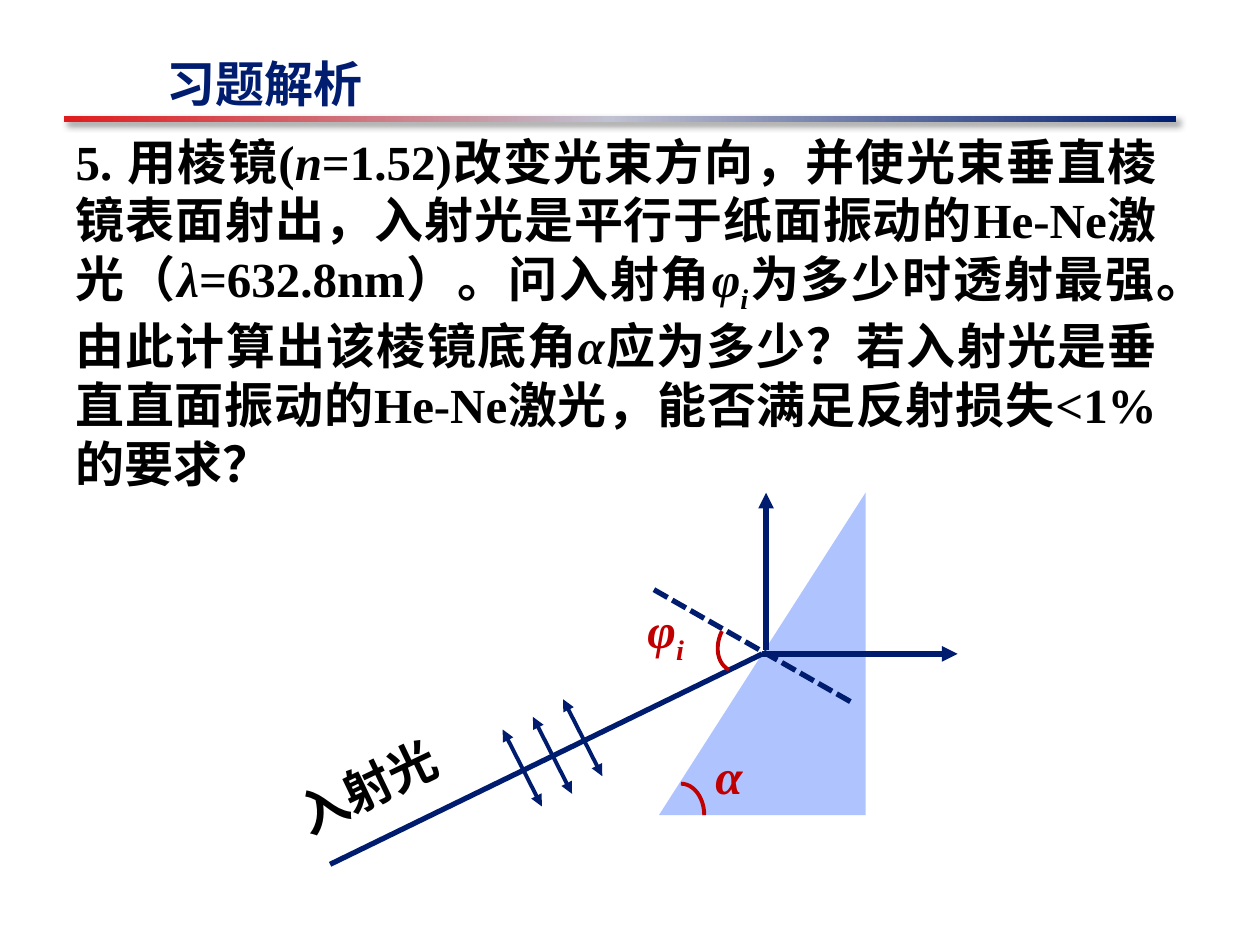
"""Build the exercise slide on a prism set at the Brewster angle."""
from copy import deepcopy
from dataclasses import dataclass

from pptx import Presentation
from pptx.dml.color import RGBColor
from pptx.enum import dml, shapes, text
from pptx.oxml import ns, xmlchemy
from pptx.util import Inches, Pt


@dataclass
class Theme:
    navy: RGBColor = RGBColor(0x00, 0x1D, 0x70)
    ray: RGBColor = RGBColor(0x00, 0x1C, 0x6E)
    ink: RGBColor = RGBColor(0, 0, 0)
    red: RGBColor = RGBColor(0xC0, 0, 0)
    glass: RGBColor = RGBColor(0xAF, 0xC4, 0xFF)
    bar: tuple = ((0, "E01C1E"), (0.49, "C0C1D1"), (1, "001D70"))
    size: int = 28
    latin: str = "Times New Roman"
    chinese: str = "Noto Sans CJK SC"


theme = Theme()


def add_element(parent, tag, **attributes):
    element = xmlchemy.OxmlElement(tag)
    for name, value in attributes.items():
        element.set(name, value)
    parent.append(element)
    return element


def write(box, pieces, color, latin=theme.latin):
    frame = box.text_frame
    frame.word_wrap = True
    frame.auto_size = text.MSO_AUTO_SIZE.NONE
    para = frame.paragraphs[0]
    para.space_before = Pt(0)
    para.font.size = Pt(theme.size)
    para.font.name = latin
    para.font.bold = True
    para.font.color.rgb = color
    for words, style in pieces:
        span = para.add_run()
        span.text = words
        span.font.size = Pt(theme.size)
        span.font.name = latin
        span.font.bold = True
        span.font.italic = style != "plain"
        span.font.color.rgb = color
        properties = span.font._element
        add_element(properties, "a:ea", typeface=theme.chinese)
        if style == "sub":
            properties.set("baseline", "-25000")
    return para


deck = Presentation()
deck.slide_width, deck.slide_height = Inches(10), Inches(7.5)
page = deck.slides.add_slide(deck.slide_layouts[1])

title = page.shapes.title
title.left, title.top, title.width, title.height = map(Inches, (1.22, 0.36, 7.73, 0.59))
title.text_frame.vertical_anchor = text.MSO_ANCHOR.MIDDLE
write(title, [("习题解析", "plain")], theme.navy).alignment = text.PP_ALIGN.LEFT

bar = page.shapes.add_shape(
    shapes.MSO_SHAPE.RECTANGLE, *map(Inches, (0.51, 0.92, 8.82, 0.05)))
bar.line.fill.background()
bar.fill.gradient()
bar.fill.gradient_angle = 0
stops = bar._element.spPr.find(".//" + ns.qn("a:gsLst"))
stops.append(deepcopy(stops[0]))
for stop, (position, color) in zip(bar.fill.gradient_stops, theme.bar):
    stop.position = position
    stop.color.rgb = RGBColor.from_string(color)
bar.shadow.inherit = False
shadow = add_element(
    bar._element.spPr.find(ns.qn("a:effectLst")), "a:outerShdw",
    blurRad=str(Pt(4)), dist=str(Pt(3)), dir="2700000", algn="tl", rotWithShape="0")
add_element(add_element(shadow, "a:srgbClr", val="000000"), "a:alpha", val="40000")

question = page.placeholders[1]
question.left, question.top, question.width, question.height = map(
    Inches, (0.5, 0.99, 8.78, 3.07))
para = question.text_frame.paragraphs[0]
para.alignment = text.PP_ALIGN.JUSTIFY
properties = para._p.get_or_add_pPr()
properties.set("marL", "0")
properties.set("indent", "0")
add_element(properties, "a:buNone")
write(question, [
    ("5. 用棱镜(", "plain"), ("n", "italic"),
    ("=1.52)改变光束方向，并使光束垂直棱镜表面射出，入射光是平行于纸面振动的He-Ne激光（", "plain"),
    ("λ", "italic"), ("=632.8nm）。问入射角", "plain"),
    ("φ", "italic"), ("i", "sub"),
    ("为多少时透射最强。由此计算出该棱镜底角", "plain"), ("α", "italic"),
    ("应为多少？若入射光是垂直直面振动的He-Ne激光，能否满足反射损失<1%的要求？", "plain"),
], theme.ink)

diagram = page.shapes.add_group_shape()

prism = diagram.shapes.add_shape(
    shapes.MSO_SHAPE.ISOSCELES_TRIANGLE, *map(Inches, (5.23, 3.91, 1.64, 2.56)))
prism.adjustments[0] = 1
prism.fill.solid()
prism.fill.fore_color.rgb = theme.glass
prism.line.fill.background()
prism.shadow.inherit = False

rays = [
    ((2.62, 6.86, 6.05, 5.19), 3, False, ()),
    ((6.05, 5.19, 7.6, 5.19), 3, False, ("a:tailEnd",)),
    ((6.08, 5.16, 6.08, 3.91), 3, False, ("a:tailEnd",)),
    ((5.19, 4.68, 6.77, 5.58), 3, True, ()),
]
for x, y in ((4.47, 5.55), (3.99, 5.79), (4.23, 5.69)):
    rays.append(((x, y, x + 0.31, y + 0.61), 2.25, False, ("a:headEnd", "a:tailEnd")))
for ends, width, dashed, heads in rays:
    ray = diagram.shapes.add_connector(
        shapes.MSO_CONNECTOR.STRAIGHT, *map(Inches, ends))
    ray.line.color.rgb = theme.ray
    ray.line.width = Pt(width)
    if dashed:
        ray.line.dash_style = dml.MSO_LINE.SQUARE_DOT
    for head in heads:
        add_element(ray.line._get_or_add_ln(), head, type="triangle")
    add_element(ray._element.spPr, "a:effectLst")

for left, top, rotation in ((5.22, 6.22, 0), (5.71, 4.84, 206.1)):
    angle = diagram.shapes.add_shape(
        shapes.MSO_SHAPE.ARC, *map(Inches, (left, top, 0.37, 0.5)))
    angle.rotation = rotation
    angle.fill.background()
    angle.line.color.rgb = theme.red
    angle.line.width = Pt(2.25)
    angle.shadow.inherit = False

labels = (
    ((5.58, 5.87, 0.49, 0.65), 0, [("α", "italic")], theme.red, theme.latin),
    ((5.04, 4.71, 0.58, 0.65), 0, [("φ", "italic"), ("i", "sub")], theme.red, theme.latin),
    ((2.24, 5.9, 1.6, 0.65), 334.3, [("入射光", "plain")], theme.ink, theme.chinese),
)
for place, rotation, pieces, color, latin in labels:
    label = diagram.shapes.add_textbox(*map(Inches, place))
    label.rotation = rotation
    write(label, pieces, color, latin)

deck.save("out.pptx")
